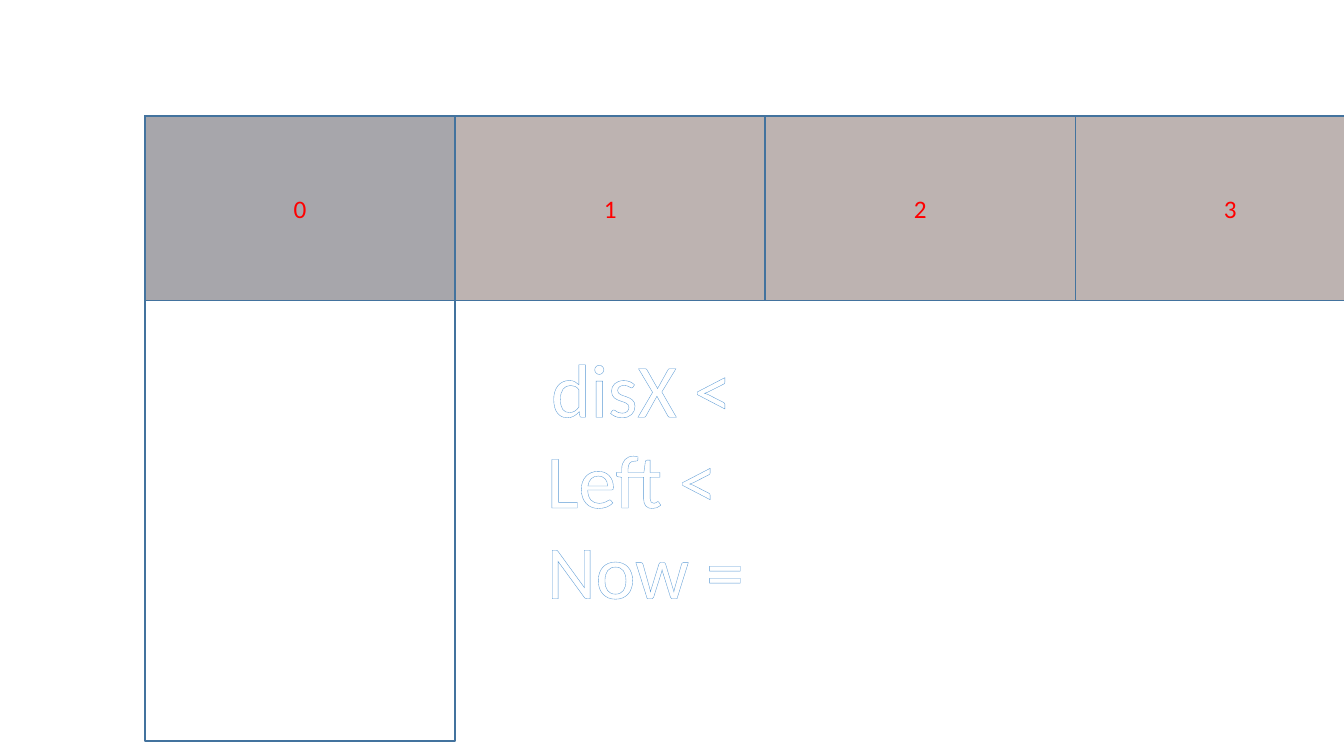
"""Build a slide with a row of numbered cells, a tall frame and three outlined conditions."""
from lxml.etree import SubElement
from pptx import Presentation
from pptx.dml.color import RGBColor
from pptx.enum.shapes import MSO_SHAPE
from pptx.enum.text import MSO_ANCHOR, PP_ALIGN
from pptx.oxml import parse_xml
from pptx.oxml.ns import nsdecls, qn
from pptx.util import Pt

COLORS = {"border": "43739E", "blue": "5B9BD5", "orange": "C55A11", "number": "FF0000", "white": "FFFFFF"}
LEFT, TOP = 103.6, 82.9
CELL_WIDTH, CELL_HEIGHT = 221.5, 131.8
CELL_COUNT = 4
FRAME_HEIGHT = 446.4


def write(para, text, size=18, color="number", align=PP_ALIGN.CENTER, indent=0, outline=None):
    para.alignment = align
    if indent:
        para._p.get_or_add_pPr().set("marL", str(Pt(indent)))
    span = para.add_run()
    span.text = text
    span.font.name = "Calibri"
    span.font.size = Pt(size)
    span.font.color.rgb = RGBColor.from_string(COLORS[color])
    if outline:
        line = parse_xml(
            f'<a:ln {nsdecls("a")} w="{Pt(0.8)}"><a:solidFill>'
            f'<a:srgbClr val="{COLORS[outline]}"/></a:solidFill></a:ln>'
        )
        span.font._element.insert(0, line)


class Page:
    def __init__(self, deck, border="border", border_width=1):
        self.shapes = deck.slides.add_slide(deck.slide_layouts[6]).shapes
        self.border = RGBColor.from_string(COLORS[border])
        self.border_width = Pt(border_width)

    def rectangle(self, left, top, width, height, fill=None, opacity=100, text=None):
        box = self.shapes.add_shape(MSO_SHAPE.RECTANGLE, Pt(left), Pt(top), Pt(width), Pt(height))
        box.shadow.inherit = False
        box.line.color.rgb = self.border
        box.line.width = self.border_width
        if fill:
            box.fill.solid()
            box.fill.fore_color.rgb = RGBColor.from_string(COLORS[fill])
            color = box._element.spPr.find(qn("a:solidFill")).find(qn("a:srgbClr"))
            SubElement(color, qn("a:alpha")).set("val", str(opacity * 1000))
        else:
            box.fill.background()
        if text:
            box.text_frame.vertical_anchor = MSO_ANCHOR.MIDDLE
            write(box.text_frame.paragraphs[0], text)

    def text_lines(self, left, top, width, height, lines, **style):
        frame = self.shapes.add_textbox(Pt(left), Pt(top), Pt(width), Pt(height)).text_frame
        frame.word_wrap = True
        for index, (text, indent) in enumerate(lines):
            para = frame.add_paragraph() if index else frame.paragraphs[0]
            write(para, text, indent=indent, **style)


deck = Presentation()
deck.slide_width, deck.slide_height = Pt(960), Pt(540)
page = Page(deck)

page.rectangle(LEFT, TOP, CELL_WIDTH, FRAME_HEIGHT)
page.rectangle(LEFT, TOP, CELL_WIDTH, CELL_HEIGHT, fill="blue", opacity=30)
page.rectangle(LEFT, TOP, CELL_COUNT * CELL_WIDTH, CELL_HEIGHT, fill="orange", opacity=39)
for number in reversed(range(CELL_COUNT)):
    page.rectangle(LEFT + number * CELL_WIDTH, TOP, CELL_WIDTH, CELL_HEIGHT,
                   fill="blue", opacity=30, text=str(number))

conditions = [("disX <", 3), ("Left <", 0), ("Now =", 0)]
page.text_lines(383.5, 240.5, 180, 204, conditions,
                size=54, color="white", align=PP_ALIGN.LEFT, outline="blue")

deck.save("out.pptx")
